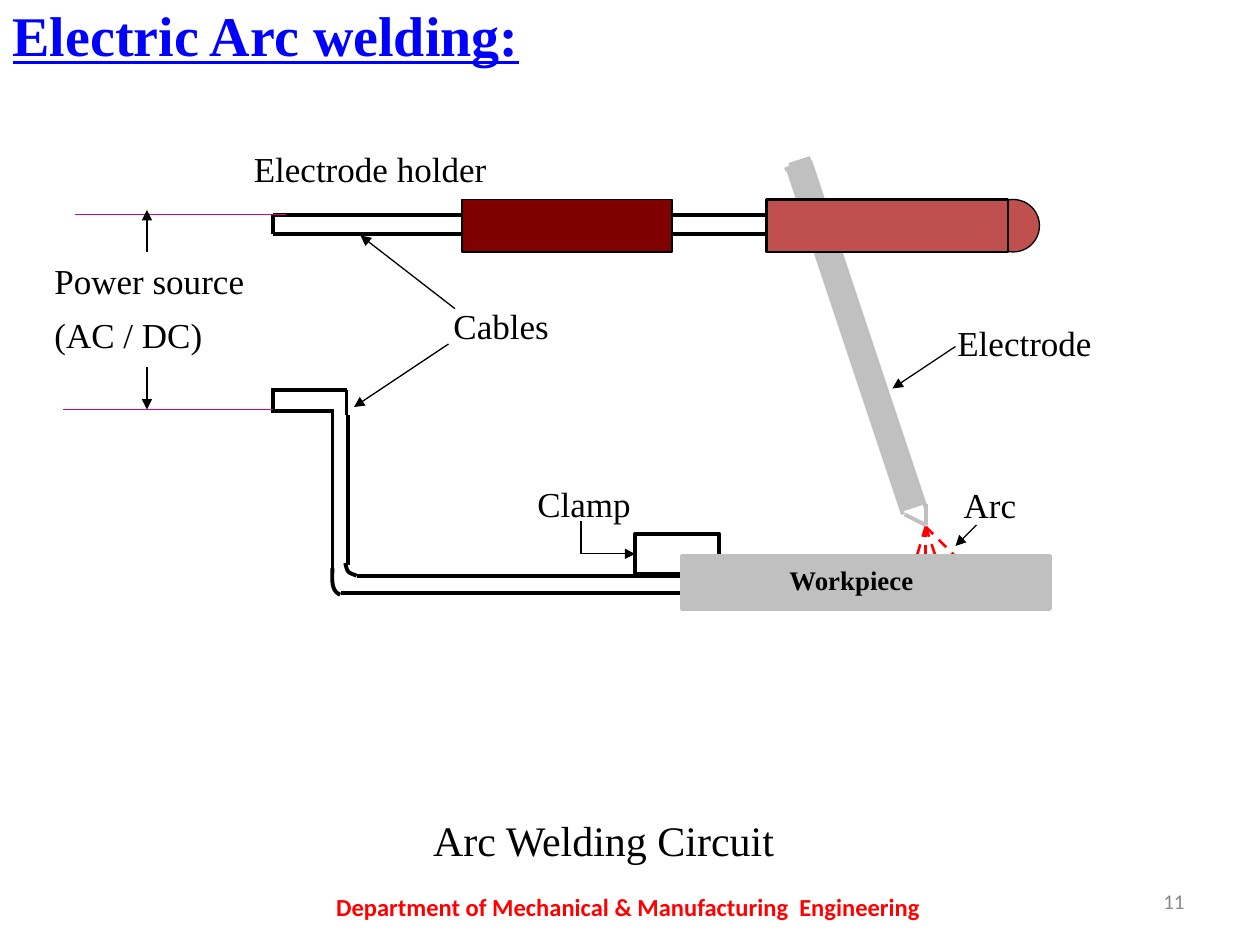
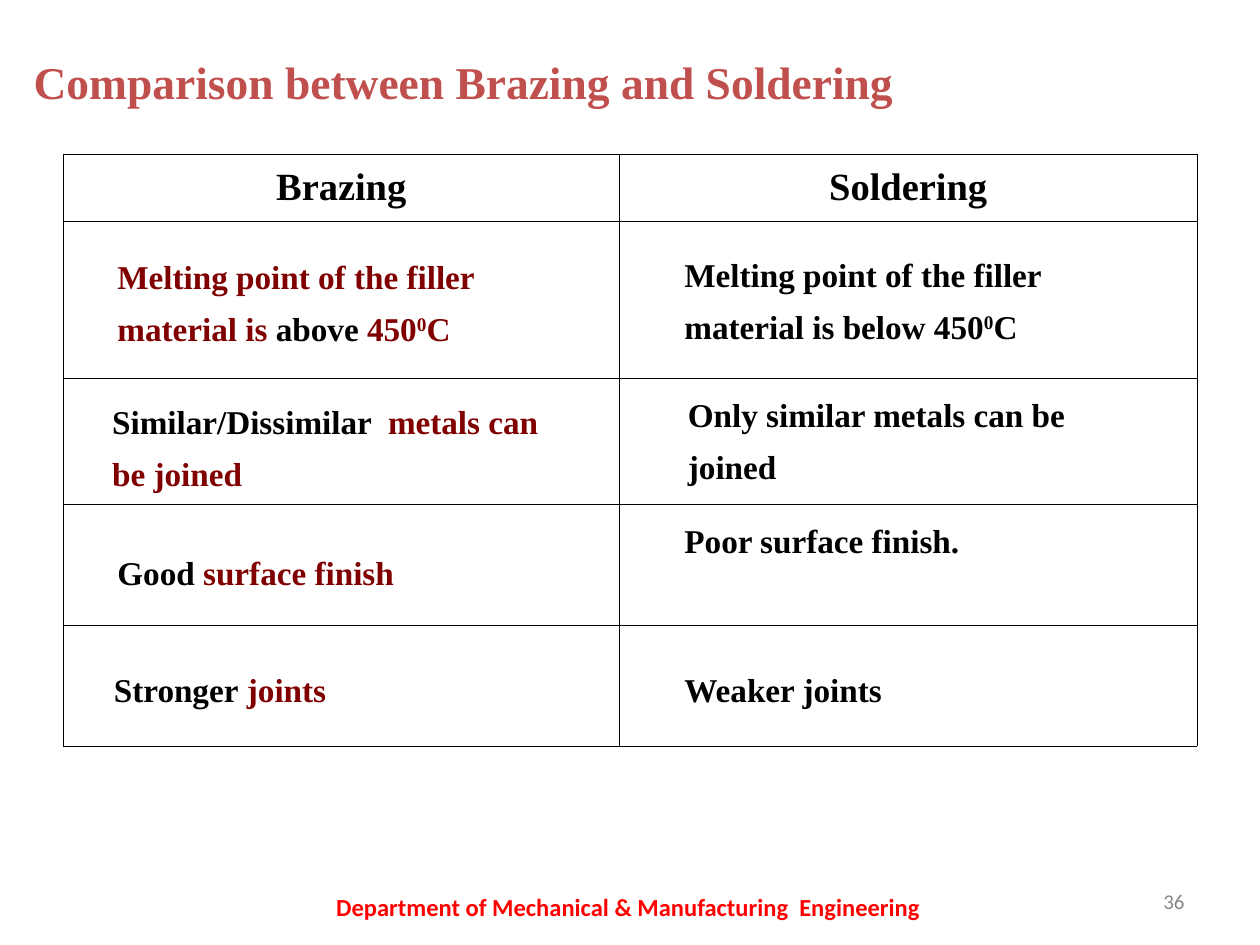
from lxml import etree
from pptx import Presentation
from pptx.dml.color import RGBColor
from pptx.enum.dml import MSO_LINE
from pptx.enum.shapes import MSO_CONNECTOR, MSO_SHAPE
from pptx.enum.text import MSO_ANCHOR, MSO_AUTO_SIZE, PP_ALIGN
from pptx.oxml.ns import qn
from pptx.util import Pt

LEFT, CENTER, RIGHT = PP_ALIGN.LEFT, PP_ALIGN.CENTER, PP_ALIGN.RIGHT
TOP, MIDDLE = MSO_ANCHOR.TOP, MSO_ANCHOR.MIDDLE
NO_AUTOFIT = MSO_AUTO_SIZE.NONE
STRAIGHT = MSO_CONNECTOR.STRAIGHT
RECTANGLE, OVAL = MSO_SHAPE.RECTANGLE, MSO_SHAPE.OVAL
DASH = MSO_LINE.DASH

SERIF, SANS = "Times New Roman", "Calibri"
BLACK, WHITE, GRAY = "000000", "FFFFFF", "C0C0C0"
MAROON, BRICK, RED = "800000", "C0504D", "FF0000"
BLUE, MAGENTA, NUMBER_GRAY = "0000FF", "D60093", "898989"
TITLE_ONLY = 5
THIN, MEDIUM, THICK = 0.75, 1.5, 2.25
LABEL_HEIGHT = 32
FOOTER = "Department of Mechanical & Manufacturing  Engineering"


def rgb(value):
    return RGBColor.from_string(value)


def write_text(frame, *paragraphs, size=20, font=SERIF, color=BLACK, bold=False,
               underline=False, align=LEFT, anchor=TOP, spacing=1.0, before=0):
    """Fill a frame; a paragraph is a string or a list of (text, color, raised)."""
    frame.word_wrap = True
    frame.vertical_anchor = anchor
    for index, content in enumerate(paragraphs):
        paragraph = frame.paragraphs[0] if index == 0 else frame.add_paragraph()
        paragraph.alignment = align
        paragraph.line_spacing = spacing
        paragraph.space_before = Pt(before if index else 0)
        runs = [(content, color, False)] if isinstance(content, str) else content
        for words, run_color, raised in runs:
            run = paragraph.add_run()
            run.text = words
            run.font.size, run.font.name = Pt(size), font
            run.font.bold, run.font.underline = bold, underline
            run.font.color.rgb = rgb(run_color)
            if raised:
                run._r.get_or_add_rPr().set("baseline", "30000")


class Deck:
    def __init__(self):
        self.presentation = Presentation()
        self.presentation.slide_width = Pt(720)
        self.presentation.slide_height = Pt(540)
        self.slide = None

    def new_slide(self, title, box, number, **style):
        layout = self.presentation.slide_layouts[TITLE_ONLY]
        self.slide = self.presentation.slides.add_slide(layout)
        heading = self.slide.shapes.title
        heading.left, heading.top, heading.width, heading.height = map(Pt, box)
        heading.text_frame.auto_size = NO_AUTOFIT
        write_text(heading.text_frame, title, bold=True, **style)
        self.text((516, 500.4, 168, 28.8), str(number), size=12, font=SANS,
                  color=NUMBER_GRAY, align=RIGHT, anchor=MIDDLE)
        self.text((182, 504, 354, 28.8), FOOTER, size=14, font=SANS, color=RED,
                  bold=True, align=CENTER, anchor=MIDDLE)

    def text(self, box, *paragraphs, fill=None, **style):
        area = self.slide.shapes.add_textbox(*map(Pt, box))
        if fill:
            area.fill.solid()
            area.fill.fore_color.rgb = rgb(fill)
        write_text(area.text_frame, *paragraphs, **style)

    def label(self, left, top, width, words):
        self.text((left, top, width, LABEL_HEIGHT), words, fill=WHITE)

    def shape(self, kind, box, fill=None, line=BLACK, width=THIN, rotation=0):
        part = self.slide.shapes.add_shape(kind, *map(Pt, box))
        part.shadow.inherit = False
        part.rotation = rotation
        if fill:
            part.fill.solid()
            part.fill.fore_color.rgb = rgb(fill)
        else:
            part.fill.background()
        part.line.color.rgb = rgb(line)
        part.line.width = Pt(width)
        return part

    def line(self, *ends, color=BLACK, width=THICK, dash=None, arrow=False):
        stroke = self.slide.shapes.add_connector(STRAIGHT, *map(Pt, ends))
        stroke.line.color.rgb = rgb(color)
        stroke.line.width = Pt(width)
        if dash:
            stroke.line.dash_style = dash
        properties = stroke._element.spPr
        if arrow:
            outline = properties.find(qn("a:ln"))
            etree.SubElement(outline, qn("a:tailEnd"), type="triangle")
        etree.SubElement(properties, qn("a:effectLst"))
        return stroke

    def arrow(self, *ends):
        return self.line(*ends, width=THIN, arrow=True)

    def curve(self, start, control1, control2, end, steps=12):
        points = []
        for step in range(steps + 1):
            t = step / steps
            weights = ((1 - t) ** 3, 3 * t * (1 - t) ** 2, 3 * t * t * (1 - t), t ** 3)
            points.append(tuple(
                Pt(sum(w * p for w, p in zip(weights, axis)))
                for axis in zip(start, control1, control2, end)))
        builder = self.slide.shapes.build_freeform(*points[0], scale=1.0)
        builder.add_line_segments(points[1:], close=False)
        bend = builder.convert_to_shape()
        bend.shadow.inherit = False
        bend.fill.background()
        bend.line.color.rgb = rgb(BLACK)
        bend.line.width = Pt(THICK)

    def table(self, left, top, columns, rows, headings):
        grid = self.slide.shapes.add_table(
            len(rows), len(columns), Pt(left), Pt(top),
            Pt(sum(columns)), Pt(sum(rows))).table
        grid.first_row = grid.horz_banding = False
        for column, width in zip(grid.columns, columns):
            column.width = Pt(width)
        for row, height in zip(grid.rows, rows):
            row.height = Pt(height)
        for cell in grid.iter_cells():
            properties = cell._tc.get_or_add_tcPr()
            for side in ("lnL", "lnR", "lnT", "lnB"):
                border = etree.SubElement(properties, qn(f"a:{side}"), w=str(Pt(0.45)))
                paint = etree.SubElement(border, qn("a:solidFill"))
                etree.SubElement(paint, qn("a:srgbClr"), val=BLACK)
            cell.fill.solid()
            cell.fill.fore_color.rgb = rgb(WHITE)
        for column, heading in enumerate(headings):
            cell = grid.cell(0, column)
            write_text(cell.text_frame, heading, size=22, bold=True, align=CENTER)
            cell.vertical_anchor = MIDDLE


def arc_welding(deck):
    deck.new_slide("Electric Arc welding:", (0, -3.6, 618, 46), 11,
                   size=32, color=BLUE, underline=True)
    deck.label(300, 272, 78, "Clamp")

    # Electrode outline and tip
    for ends in ((517, 294, 529, 300), (529, 288, 529, 300), (450, 96, 516, 294),
                 (463, 92, 529, 290), (448.5, 97, 461, 91.5)):
        deck.line(*ends, color=GRAY)

    # Clamp and return cable
    clamp = deck.shape(RECTANGLE, (363, 305, 48, 23), width=THICK)
    for ends in ((204, 329, 390, 329), (199, 237, 199, 323),
                 (190, 236, 190, 326), (195, 339, 389, 339)):
        deck.line(*ends)
    deck.curve((197.3, 321.8), (198.7, 326.9), (198, 326.9), (203.8, 329))
    deck.curve((190, 324.7), (190, 329), (188.6, 337.7), (194.4, 339.8))

    # Caption and cable labels
    deck.text((132, 462, 426, 36), "Arc Welding Circuit", fill=WHITE,
              size=24, align=CENTER)
    deck.label(252, 170.6, 90, "Cables")
    deck.arrow(260, 176.4, 206, 134.6)
    deck.arrow(256.3, 196.6, 202.3, 232.6)
    deck.label(138, 80.6, 216, "Electrode holder")

    # Electrode rod
    for box, rotation in (((483, 86.4, 12.2, 208.8), 342),
                          ((483.8, 89.3, 5.8, 203.8), 341)):
        deck.shape(RECTANGLE, box, GRAY, GRAY, rotation=rotation)

    # Holder with its cable
    deck.shape(OVAL, (564, 114, 30, 30), BRICK)
    for y in (123.1, 133.9):
        for start, end in ((264, 438), (156, 330)):
            deck.line(start, y, end, y)
    deck.shape(RECTANGLE, (264, 114, 120, 30), MAROON)
    deck.line(156, 122.4, 156, 134)
    deck.shape(RECTANGLE, (438, 114, 138, 30), BRICK, width=MEDIUM)

    # Arc sparks
    for x in (547, 523.5, 529, 535):
        deck.line(529, 301, x, 319, color=RED, width=MEDIUM, dash=DASH)

    # Pointers to electrode, arc and clamp
    deck.label(540, 180, 102, "Electrode")
    deck.arrow(546, 198, 510, 222)
    deck.label(543.6, 273, 50.4, "Arc")
    deck.arrow(332, 316.5, 363, 316.5).end_connect(clamp, 1)
    deck.line(332, 298, 332, 316.5, width=THIN)
    deck.arrow(558, 300, 546, 312)

    # Lower cable end
    for ends in ((156, 222, 156, 234), (155, 234.7, 191, 234.7),
                 (155, 223, 198, 223), (198, 223, 198, 237)):
        deck.line(*ends)

    # Power source
    deck.line(36, 234, 156, 234, color=MAGENTA, width=THIN)
    deck.line(43, 122.4, 163.4, 122.4, color=MAGENTA, width=THIN)
    deck.arrow(84, 210, 84, 234)
    deck.arrow(84, 144, 84, 120)
    deck.text((24, 150, 144, 56), "Power source", "(AC / DC)",
              spacing=0.76, before=12.5)

    # Workpiece
    deck.shape(RECTANGLE, (390, 318, 210, 30), GRAY, GRAY, THICK)
    deck.text((444, 320.4, 126, 26), "Workpiece", fill=GRAY, size=15.3,
              bold=True, spacing=0.9)


def brazing_and_soldering(deck):
    deck.new_slide("Comparison between Brazing and Soldering", (12, 18, 621, 48), 36,
                   size=26, color=BRICK, spacing=1.3)
    deck.table(36, 88, (318, 330), (38.4, 90, 72, 69, 69), ("Brazing", "Soldering"))

    # Statements laid over the rows
    statements = (
        (60, 136, [("Melting point of the filler material is ", MAROON, False),
                   ("above ", BLACK, False), ("450", MAROON, False),
                   ("0", MAROON, True), ("C", MAROON, False)]),
        (384, 135, [("Melting point of the filler material is below 450", BLACK, False),
                    ("0", BLACK, True), ("C", BLACK, False)]),
        (57, 219, [("Similar/Dissimilar ", BLACK, False),
                   (" metals can be joined", MAROON, False)]),
        (386, 215, "Only similar metals can be joined"),
        (60, 305, [("Good", BLACK, False), (" surface finish", MAROON, False)]),
        (384, 287, "Poor surface finish."),
        (58, 372, [("Stronger", BLACK, False), (" joints", MAROON, False)]),
        (384, 372, "Weaker joints"),
    )
    for left, top, statement in statements:
        deck.text((left, top, 270, 37), statement, size=19, bold=True, spacing=1.3)


def main():
    deck = Deck()
    arc_welding(deck)
    brazing_and_soldering(deck)
    deck.presentation.save("out.pptx")


if __name__ == "__main__":
    main()
